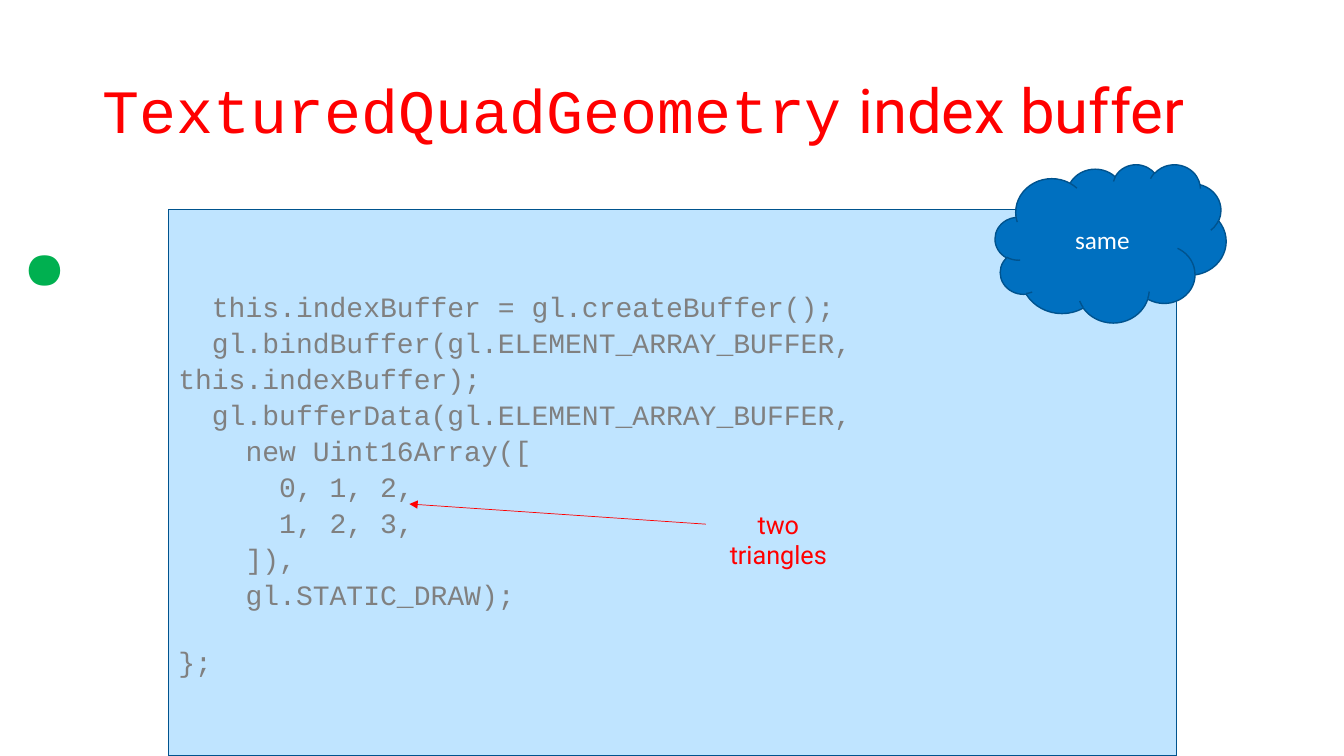
from pptx import Presentation
from pptx.dml.color import RGBColor
from pptx.enum.shapes import MSO_CONNECTOR as Connector, MSO_SHAPE as Shape
from pptx.enum.text import MSO_ANCHOR as Anchor, PP_ALIGN as Align
from pptx.oxml.ns import qn
from pptx.util import Inches, Pt
from lxml.etree import SubElement

COLORS = {
    "red": "FF0000",
    "green": "00B050",
    "code": "808080",
    "panel": "BFE4FF",
    "cloud": "0070C0",
    "outline": "00538E",
    "white": "FFFFFF",
}
SANS, MONO, BODY = "Roboto", "Courier New", "Calibri"

CODE = """\
  this.indexBuffer = gl.createBuffer();
  gl.bindBuffer(gl.ELEMENT_ARRAY_BUFFER, this.indexBuffer);
  gl.bufferData(gl.ELEMENT_ARRAY_BUFFER,
    new Uint16Array([
      0, 1, 2,
      1, 2, 3,
    ]),
    gl.STATIC_DRAW);
};"""


def color(name):
    return RGBColor.from_string(COLORS[name])


class SlideBuilder:
    """Holds the style and the slide being built."""

    def __init__(self, slide):
        self.slide = slide

    def fill_text(self, shape, lines, size, font, ink, align=Align.LEFT,
                  anchor=Anchor.TOP, spacing=None):
        """Put one paragraph per line; a line is a list of (text, font) runs or a string."""
        frame = shape.text_frame
        frame.word_wrap = True
        frame.vertical_anchor = anchor
        for index, line in enumerate(lines):
            paragraph = frame.paragraphs[0] if index == 0 else frame.add_paragraph()
            paragraph.alignment = align
            paragraph.line_spacing = spacing
            paragraph.font.size = Pt(size)
            paragraph.font.color.rgb = color(ink)
            if isinstance(line, str):
                paragraph.font.name = font
                paragraph.add_run().text = line
            else:
                for text, run_font in line:
                    run = paragraph.add_run()
                    run.text = text
                    run.font.name = run_font
        return shape

    def text(self, box, lines, size, font, ink, **layout):
        shape = self.slide.shapes.add_textbox(*map(Inches, box))
        return self.fill_text(shape, lines, size, font, ink, **layout)

    def panel(self, kind, box, fill, lines, size, font, ink, **layout):
        shape = self.slide.shapes.add_shape(kind, *map(Inches, box))
        shape.shadow.inherit = False
        shape.fill.solid()
        shape.fill.fore_color.rgb = color(fill)
        shape.line.color.rgb = color("outline")
        shape.line.width = Pt(1)
        return self.fill_text(shape, lines, size, font, ink,
                              anchor=Anchor.MIDDLE, **layout)

    def arrow_from(self, label, end_x, end_y):
        """Draw an arrow from the middle of the label's left side."""
        arrow = self.slide.shapes.add_connector(
            Connector.STRAIGHT, label.left, label.top, Inches(end_x), Inches(end_y))
        arrow.begin_connect(label, 1)
        arrow.line.color.rgb = color("red")
        arrow.line.width = Pt(0.5)
        properties = arrow._element.spPr
        SubElement(properties.find(qn("a:ln")), qn("a:tailEnd"), type="triangle")
        SubElement(properties, qn("a:effectLst"))


def main():
    presentation = Presentation()
    presentation.slide_width = Inches(13.33)
    presentation.slide_height = Inches(7.5)
    builder = SlideBuilder(presentation.slides.add_slide(presentation.slide_layouts[6]))

    title = [("TexturedQuadGeometry", MONO), (" index buffer", SANS)]
    builder.text((0.92, 0.4, 11.5, 1.45), [title], 44, SANS, "red",
                 anchor=Anchor.MIDDLE, spacing=0.9)

    listing = builder.panel(Shape.RECTANGLE, (1.67, 2.08, 10, 5.42), "panel",
                            CODE.splitlines(), 20, MONO, "code", spacing=1.07)
    closing_brace = listing.text_frame.paragraphs[-1]
    closing_brace.line_spacing = 1.0
    closing_brace.space_before = Pt(24)

    label = builder.text((7, 5, 1.44, 0.4), ["two triangles"], 18, SANS, "red",
                         align=Align.CENTER)
    builder.arrow_from(label, 4.06, 5)
    builder.panel(Shape.CLOUD, (9.87, 1.63, 2.29, 1.57), "cloud",
                  ["same"], 18, BODY, "white", align=Align.CENTER)
    builder.text((0, 0, 0.57, 3.47), ["."], 200, SANS, "green")

    presentation.save("out.pptx")


if __name__ == "__main__":
    main()
